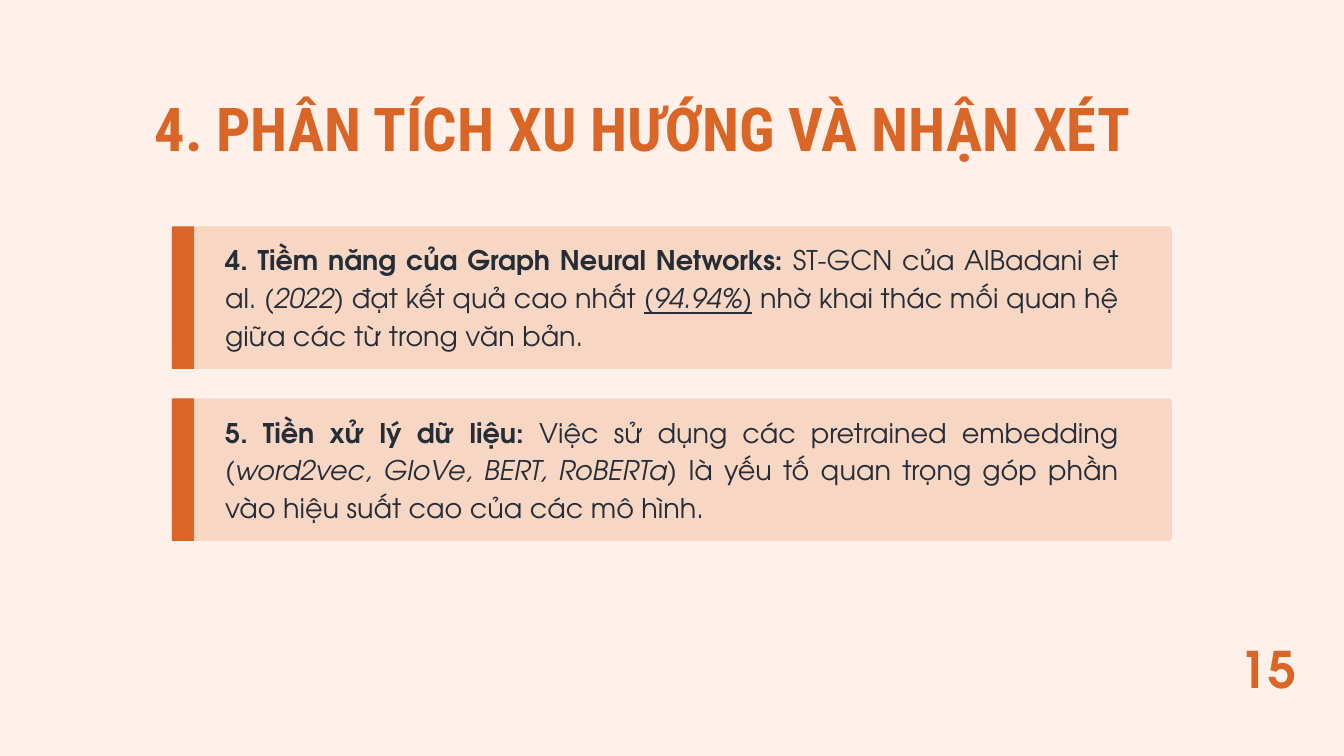
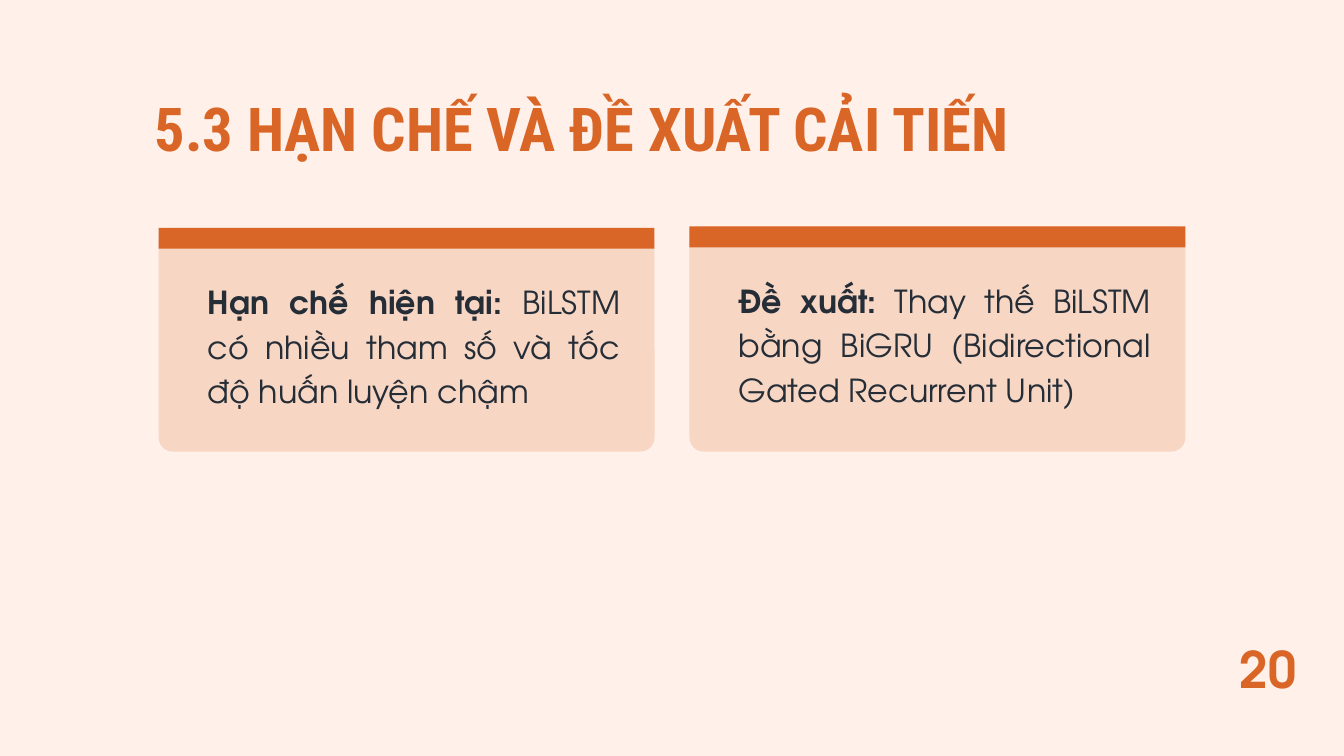
import pptx
import pptx.dml.color
import pptx.enum.shapes
import pptx.enum.text
import pptx.oxml.ns
import pptx.util
from lxml import etree

Inches = pptx.util.Inches
Pt = pptx.util.Pt
rgb = pptx.dml.color.RGBColor.from_string
Align = pptx.enum.text.PP_ALIGN
Preset = pptx.enum.shapes.MSO_SHAPE

CREAM, ORANGE, INK = "FFF0E9", "D96627", "252D37"
HEADING_FONT, BODY_FONT = "Roboto Condensed", "TeX Gyre Adventor"


def write(slide, text, left, top, width, height, size, leading, font=BODY_FONT,
          color=INK, align=Align.LEFT):
    """Add a paragraph; text is a list of (words, style), style using b, i and u."""
    frame = slide.shapes.add_textbox(
        Inches(left), Inches(top), Inches(width), Inches(height)).text_frame
    frame.word_wrap = True
    frame.margin_left = frame.margin_right = frame.margin_top = frame.margin_bottom = 0
    paragraph = frame.paragraphs[0]
    paragraph.alignment = align
    paragraph.line_spacing = Pt(leading)
    for words, style in text:
        run = paragraph.add_run()
        run.text = words
        run.font.name = font
        run.font.size = Pt(size)
        run.font.color.rgb = rgb(color)
        run.font.bold = "b" in style
        run.font.italic = "i" in style
        run.font.underline = "u" in style


def add_panel(slide, left, top, width, height, radius=0, opacity=100):
    preset = Preset.ROUNDED_RECTANGLE if radius else Preset.RECTANGLE
    panel = slide.shapes.add_shape(
        preset, Inches(left), Inches(top), Inches(width), Inches(height))
    if radius:
        panel.adjustments[0] = radius / min(width, height)
    panel.shadow.inherit = False
    panel.line.fill.background()
    panel.fill.solid()
    panel.fill.fore_color.rgb = rgb(ORANGE)
    if opacity < 100:
        tint = next(panel._element.spPr.iter(pptx.oxml.ns.qn("a:srgbClr")))
        etree.SubElement(tint, pptx.oxml.ns.qn("a:alpha"), val=str(opacity * 1000))


deck = pptx.Presentation()
deck.slide_width = Inches(20)
deck.slide_height = Inches(11.25)

# Background, page number and title shared by both slides
slides = []
for number, title in [("15", "4. PHÂN TÍCH XU HƯỚNG VÀ NHẬN XÉT"),
                      ("20", "5.3 HẠN CHẾ VÀ ĐỀ XUẤT CẢI TIẾN")]:
    slide = deck.slides.add_slide(deck.slide_layouts[6])
    slide.background.fill.solid()
    slide.background.fill.fore_color.rgb = rgb(CREAM)
    write(slide, [(number, "b")], 18.29, 9.79, 1.16, 0.67, size=54, leading=43.2,
          color=ORANGE, align=Align.CENTER)
    write(slide, [(title, "b")], 2.3, 1.54, 15, 0.95, size=64.8, leading=64.8,
          font=HEADING_FONT, color=ORANGE)
    slides.append(slide)
trends, improvements = slides

# Trends: stacked remarks with a bar on the left
remarks = [
    (3.37, [("4. Tiềm năng của Graph Neural Networks:", "b"),
            (" ST-GCN của AlBadani et al. ", ""),
            ("(2022) ", "i"),
            ("đạt kết quả cao nhất ", ""),
            ("(94.94%)", "iu"),
            (" nhờ khai thác mối quan hệ giữa các từ trong văn bản.", "")]),
    (5.93, [("5. Tiền xử lý dữ liệu:", "b"),
            (" Việc sử dụng các pretrained embedding ", ""),
            ("(word2vec, GloVe, BERT, RoBERTa)", "i"),
            (" là yếu tố quan trọng góp phần vào hiệu suất cao của các mô hình.", "")]),
]
for top, remark in remarks:
    add_panel(trends, 2.56, top, 14.88, 2.12, radius=0.05, opacity=19)
    add_panel(trends, 2.56, top, 0.33, 2.12)
    write(trends, remark, 3.35, top + 0.18, 13.3, 1.66, size=29, leading=40.6,
          align=Align.JUSTIFY)

# Improvements: side-by-side cards with a bar on top
cards = [
    (2.36, 3.39, [("Hạn chế hiện tại: ", "b"),
                  ("BiLSTM có nhiều tham số và tốc độ huấn luyện chậm", "")]),
    (10.26, 3.37, [("Đề xuất:", "b"),
                   (" Thay thế BiLSTM bằng BiGRU (Bidirectional Gated Recurrent Unit)", "")]),
]
for left, top, message in cards:
    add_panel(improvements, left, top, 7.38, 6.72 - top, radius=0.21, opacity=19)
    add_panel(improvements, left, top, 7.38, 0.31)
    write(improvements, message, left + 0.73, top + 0.73, 6.14, 2.6, size=34,
          leading=47.6, align=Align.JUSTIFY)

deck.save("out.pptx")
